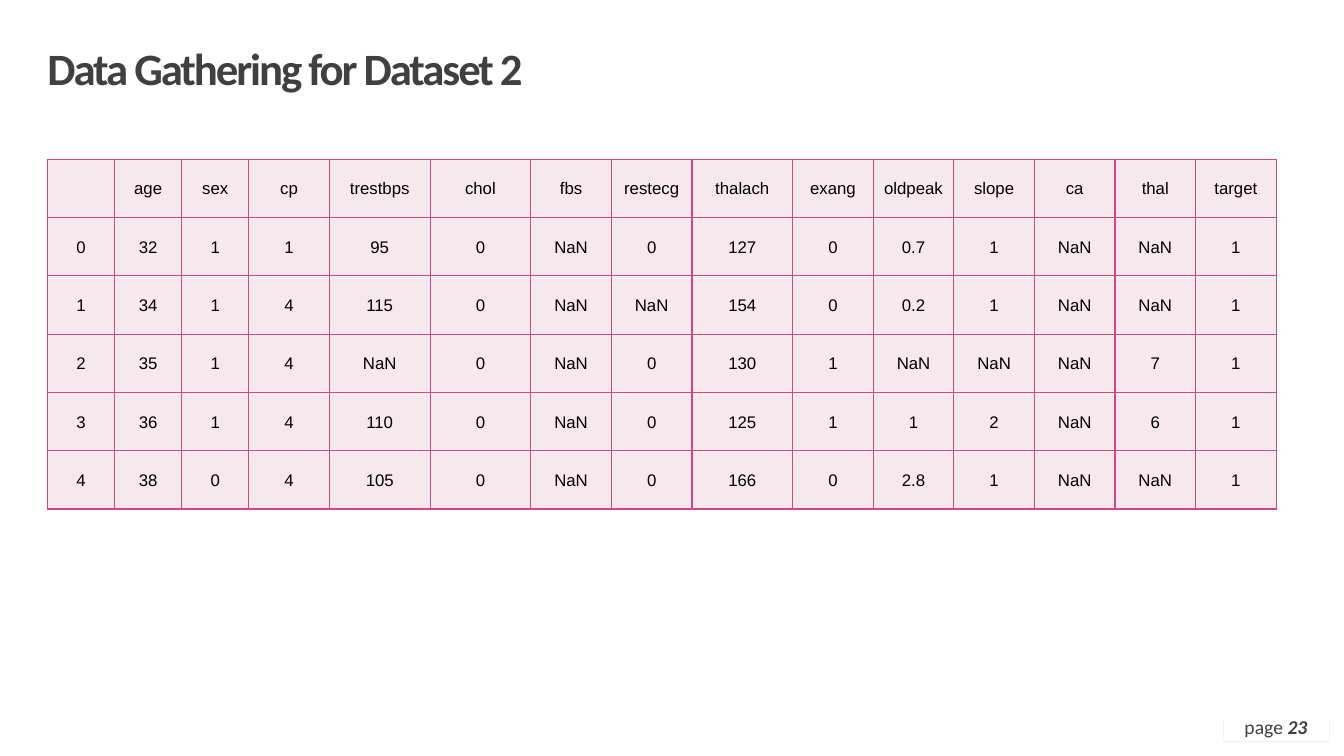
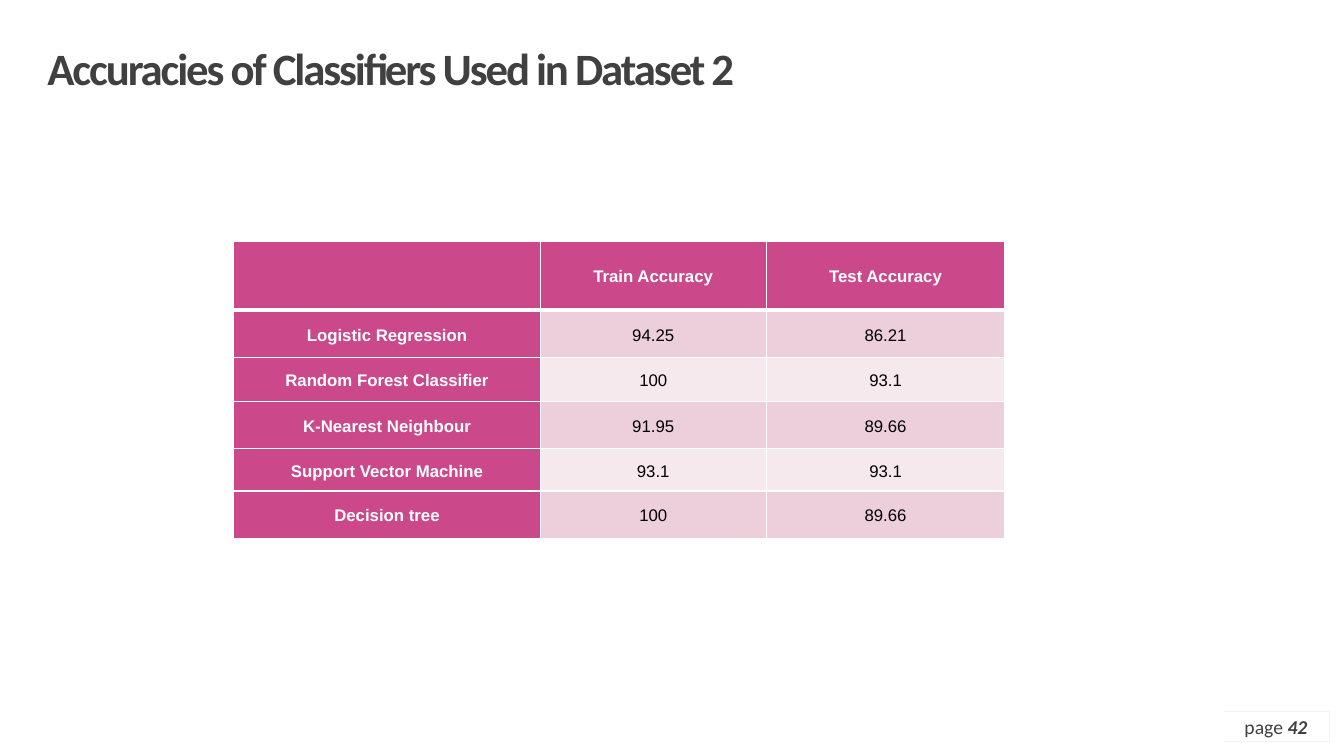
from dataclasses import dataclass
from typing import Callable, NamedTuple

from lxml import etree
from pptx import Presentation
from pptx import util as u
from pptx.dml.color import RGBColor
from pptx.enum import shapes, text
from pptx.oxml import ns


@dataclass(frozen=True)
class Theme:
    backdrop: str = "F2F2F2"
    white: str = "FFFFFF"
    ink: str = "404040"
    black: str = "000000"
    accent: str = "CB488B"
    tint: str = "ECCFDA"
    pale: str = "F6E9EE"
    heading_font: str = "Calibri"
    table_font: str = "Arial"
    title_size: float = 32
    page_size: float = 14
    cell_size: float = 12


THEME = Theme()
SLIDE_WIDTH = u.Inches(13.33)
SLIDE_HEIGHT = u.Inches(7.5)


class Box(NamedTuple):
    """Percentages of the slide's width and height."""
    left: float
    top: float
    width: float
    height: float

    def emu(self) -> tuple[int, ...]:
        sides = (SLIDE_WIDTH, SLIDE_HEIGHT) * 2
        return tuple(round(side * share / 100) for side, share in zip(sides, self))


class Look(NamedTuple):
    fill: str
    ink: str
    bold: bool = False


@dataclass(frozen=True)
class DataGrid:
    box: Box
    rows: list[list[str]]
    column_shares: list[float]
    row_shares: list[float]
    look: Callable[[int, int], Look]
    edge: str
    margins: tuple[float, float, float, float]
    header_rule: float = 1
    line_spacing: float = 1
    space_after: float = 0


@dataclass(frozen=True)
class Page:
    title: str
    number: int
    corner: Box
    panel: Box
    grid: DataGrid


BANDS = [
    Box(0, 0, 100, 2),
    Box(0, 0, 1.13, 100),
    Box(89.9, 0, 10.1, 100),
    Box(0, 98, 100, 2),
]
PAGE_TAG = Box(91, 94.13, 7.88, 3.87)
TITLE = Box(3.53, 6.27, 83.2, 6.27)


def write(frame, content: str, *, size: float, font: str, color: str,
          bold: bool = False, italic: bool = False, tracking: float = 0,
          align=text.PP_ALIGN.CENTER, line_spacing: float = 1,
          space_after: float = 0) -> None:
    paragraph = frame.paragraphs[0]
    paragraph.alignment = align
    paragraph.line_spacing = line_spacing
    paragraph.space_after = u.Pt(space_after)
    run = paragraph.add_run()
    run.text = content
    run.font.size = u.Pt(size)
    run.font.name = font
    run.font.color.rgb = RGBColor.from_string(color)
    run.font.bold = bold
    run.font.italic = italic
    if tracking:
        run.font._element.set("spc", str(round(tracking * 100)))


def prepare(frame) -> None:
    frame.word_wrap = True
    frame.vertical_anchor = text.MSO_ANCHOR.MIDDLE
    frame.margin_left = frame.margin_top = frame.margin_right = frame.margin_bottom = 0


def add_rectangle(slide, box: Box, fill: str | None = None,
                  line: str | None = None, weight: float = 0):
    rectangle = slide.shapes.add_shape(shapes.MSO_SHAPE.RECTANGLE, *box.emu())
    rectangle.shadow.inherit = False
    if fill:
        rectangle.fill.solid()
        rectangle.fill.fore_color.rgb = RGBColor.from_string(fill)
    else:
        rectangle.fill.background()
    if line:
        rectangle.line.color.rgb = RGBColor.from_string(line)
        rectangle.line.width = u.Pt(weight)
    else:
        rectangle.line.fill.background()
    return rectangle


def set_borders(cell, color: str, top: float, bottom: float) -> None:
    properties = cell._tc.get_or_add_tcPr()
    weights = {"a:lnL": 1, "a:lnR": 1, "a:lnT": top, "a:lnB": bottom}
    for position, (tag, weight) in enumerate(weights.items()):
        border = etree.Element(ns.qn(tag), w=str(u.Pt(weight)))
        solid = etree.SubElement(border, ns.qn("a:solidFill"))
        etree.SubElement(solid, ns.qn("a:srgbClr"), val=color)
        properties.insert(position, border)


def add_grid(slide, grid: DataGrid) -> None:
    left, top, width, height = grid.box.emu()
    table = slide.shapes.add_table(len(grid.rows), len(grid.column_shares),
                                   left, top, width, height).table
    table.first_row = table.horz_banding = False
    for column, share in zip(table.columns, grid.column_shares):
        column.width = round(width * share / sum(grid.column_shares))
    for row, share in zip(table.rows, grid.row_shares):
        row.height = round(height * share / sum(grid.row_shares))
    for r, values in enumerate(grid.rows):
        for c, value in enumerate(values):
            cell = table.cell(r, c)
            look = grid.look(r, c)
            cell.fill.solid()
            cell.fill.fore_color.rgb = RGBColor.from_string(look.fill)
            cell.vertical_anchor = text.MSO_ANCHOR.MIDDLE
            (cell.margin_left, cell.margin_top,
             cell.margin_right, cell.margin_bottom) = map(u.Inches, grid.margins)
            set_borders(cell, grid.edge,
                        top=grid.header_rule if r == 1 else 1,
                        bottom=grid.header_rule if r == 0 else 1)
            if value:
                write(cell.text_frame, value, size=THEME.cell_size,
                      font=THEME.table_font, color=look.ink, bold=look.bold,
                      line_spacing=grid.line_spacing, space_after=grid.space_after)


def add_page(prs, page: Page) -> None:
    slide = prs.slides.add_slide(prs.slide_layouts[6])
    for band in BANDS:
        add_rectangle(slide, band, THEME.white)
    tag = add_rectangle(slide, PAGE_TAG, line=THEME.backdrop, weight=0.25).text_frame
    prepare(tag)
    tag_format = dict(size=THEME.page_size, font=THEME.heading_font, color=THEME.ink)
    write(tag, "page ", **tag_format)
    write(tag, str(page.number), bold=True, italic=True, **tag_format)
    for cover in (page.corner, page.panel):
        add_rectangle(slide, cover, THEME.white, THEME.white, 2)
    title = slide.shapes.add_textbox(*TITLE.emu()).text_frame
    prepare(title)
    write(title, page.title, size=THEME.title_size, font=THEME.heading_font,
          color=THEME.ink, bold=True, tracking=-1.5, align=text.PP_ALIGN.LEFT,
          line_spacing=0.9)
    add_grid(slide, page.grid)


def plain_look(row: int, column: int) -> Look:
    return Look(THEME.pale, THEME.black)


def banded_look(row: int, column: int) -> Look:
    if row == 0 or column == 0:
        return Look(THEME.accent, THEME.white, bold=True)
    return Look(THEME.tint if row % 2 else THEME.pale, THEME.black)


FEATURES = ["", *"age sex cp trestbps chol fbs restecg thalach exang "
            "oldpeak slope ca thal target".split()]
PATIENTS = [line.split() for line in (
    "0 32 1 1 95 0 NaN 0 127 0 0.7 1 NaN NaN 1",
    "1 34 1 4 115 0 NaN NaN 154 0 0.2 1 NaN NaN 1",
    "2 35 1 4 NaN 0 NaN 0 130 1 NaN NaN NaN 7 1",
    "3 36 1 4 110 0 NaN 0 125 1 1 2 NaN 6 1",
    "4 38 0 4 105 0 NaN 0 166 0 2.8 1 NaN NaN 1",
)]
ACCURACIES = [
    ["", "Train Accuracy", "Test Accuracy"],
    ["Logistic Regression", "94.25", "86.21"],
    ["Random Forest Classifier", "100", "93.1"],
    ["K-Nearest Neighbour", "91.95", "89.66"],
    ["Support Vector Machine", "93.1", "93.1"],
    ["Decision tree", "100", "89.66"],
]

PAGES = [
    Page(
        "Data Gathering for Dataset 2", 23,
        corner=Box(89.87, 85.73, 9, 9.33),
        panel=Box(0.98, 1.6, 89.95, 96.4),
        grid=DataGrid(
            Box(3.53, 21.07, 91.45, 46.27), [FEATURES, *PATIENTS],
            column_shares=[2] * 3 + [2.4, 3, 3, 2.4, 2.4, 3] + [2.4] * 6,
            row_shares=[1] * 6,
            look=plain_look, edge=THEME.accent, margins=(0.01, 0.01, 0.01, 0)),
    ),
    Page(
        "Accuracies of Classifiers Used in Dataset 2", 42,
        corner=Box(89.87, 84.93, 9, 7.33),
        panel=Box(0.98, 1.6, 90.02, 96.4),
        grid=DataGrid(
            Box(17.4, 31.87, 57.39, 39.33), ACCURACIES,
            column_shares=[3.04, 2.24, 2.37],
            row_shares=[0.69, 0.47, 0.44, 0.47, 0.42, 0.47],
            look=banded_look, edge=THEME.white, margins=(0.07, 0, 0.07, 0),
            header_rule=3, line_spacing=1.15, space_after=10),
    ),
]


def main() -> None:
    prs = Presentation()
    prs.slide_width, prs.slide_height = SLIDE_WIDTH, SLIDE_HEIGHT
    backdrop = prs.slide_master.background.fill
    backdrop.solid()
    backdrop.fore_color.rgb = RGBColor.from_string(THEME.backdrop)
    for page in PAGES:
        add_page(prs, page)
    prs.save("out.pptx")


if __name__ == "__main__":
    main()
